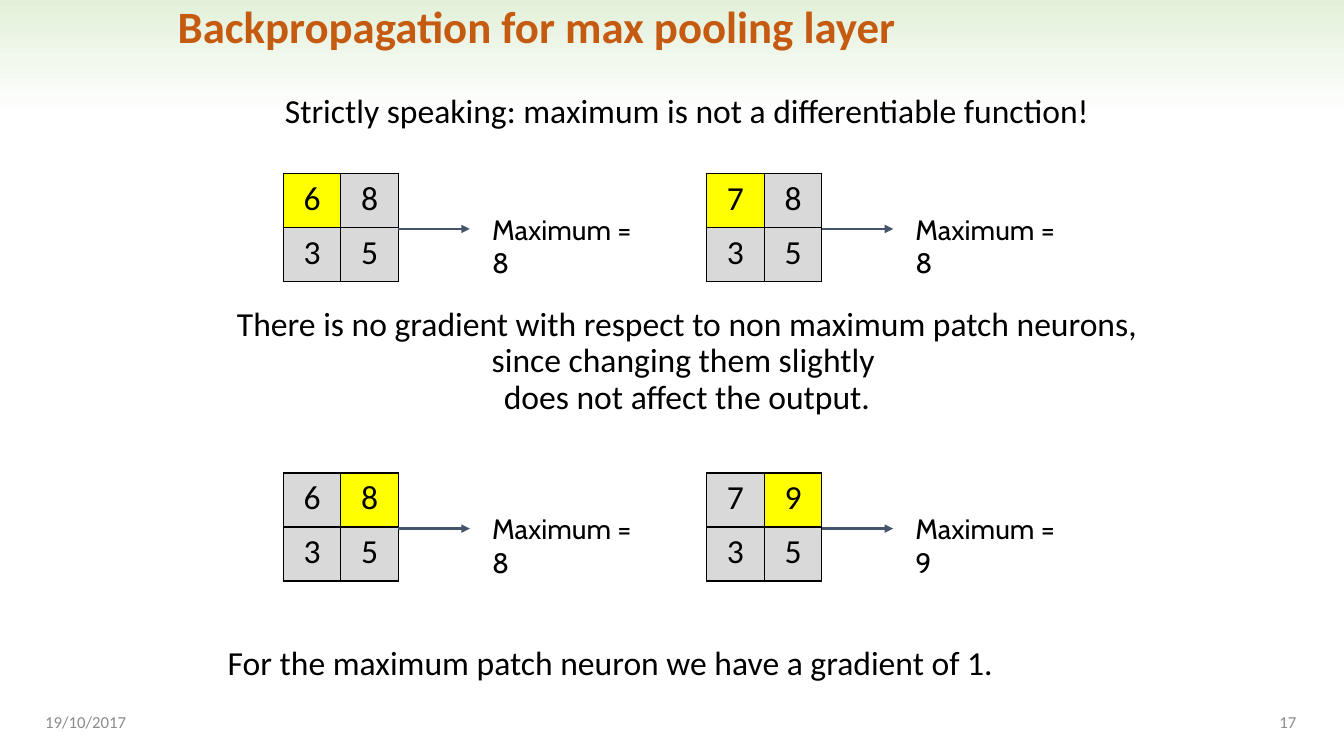
from lxml import etree
from pptx import Presentation
from pptx import util as u
from pptx.dml.color import RGBColor
from pptx.enum import shapes, text
from pptx.oxml import ns

COLOURS = {
    "band": "E2F0D9", "white": "FFFFFF", "title": "C55A11", "black": "000000",
    "footer": "8C8C8C", "arrow": "44546A", "marked": "FFFF00", "cell": "D9D9D9",
}
LEFT, CENTER, RIGHT = text.PP_ALIGN.LEFT, text.PP_ALIGN.CENTER, text.PP_ALIGN.RIGHT


def rgb(name):
    return RGBColor.from_string(COLOURS[name])


class SlideBuilder:
    """Holds the text style and the current slide; positions are in cm."""

    def __init__(self, slide, font="Calibri"):
        self.slide = slide
        self.font = font

    def style(self, paragraph, size, colour="black", align=LEFT, font=None, bold=False):
        paragraph.alignment = align
        paragraph.font.name = font or self.font
        paragraph.font.size = u.Pt(size)
        paragraph.font.bold = bold
        paragraph.font.color.rgb = rgb(colour)

    def band(self, width, height):
        band = self.slide.shapes.add_shape(
            shapes.MSO_SHAPE.RECTANGLE, 0, 0, u.Cm(width), u.Cm(height))
        band.shadow.inherit = False
        band.line.fill.background()
        band.fill.gradient()
        band.fill.gradient_angle = 270
        for stop, position, colour in zip(
                band.fill.gradient_stops, (0, 1), ("band", "white")):
            stop.position = position
            stop.color.rgb = rgb(colour)

    def frame(self, x, y, width, height, anchor=text.MSO_ANCHOR.TOP):
        frame = self.slide.shapes.add_textbox(
            *map(u.Cm, (x, y, width, height))).text_frame
        frame.word_wrap = True
        frame.vertical_anchor = anchor
        return frame

    def line_of_text(self, words, box, size, anchor=text.MSO_ANCHOR.TOP, **style):
        frame = self.frame(*box, anchor=anchor)
        frame.text = words
        self.style(frame.paragraphs[0], size, **style)
        return frame

    def body(self, box, statements):
        frame = self.frame(*box)
        for number, (words, align, gap) in enumerate(statements):
            statement = frame.add_paragraph() if number else frame.paragraphs[0]
            statement.text = words
            statement.line_spacing = u.Pt(26)
            statement.space_before = u.Pt(gap)
            self.style(statement, 24, align=align)

    def borders(self, cell):
        properties = cell._tc.get_or_add_tcPr()
        for side in ("a:lnL", "a:lnR", "a:lnT", "a:lnB"):
            line = etree.SubElement(properties, ns.qn(side), w=str(u.Pt(1)))
            fill = etree.SubElement(line, ns.qn("a:solidFill"))
            etree.SubElement(fill, ns.qn("a:srgbClr"), val=COLOURS["black"])

    def patch(self, x, y, values, marked):
        table = self.slide.shapes.add_table(
            2, 2, u.Cm(x), u.Cm(y), u.Cm(2.9), u.Cm(2.72)).table
        table.first_row = table.horz_banding = False
        for index, (cell, value) in enumerate(zip(table.iter_cells(), values)):
            cell.text = str(value)
            self.style(cell.text_frame.paragraphs[0], 24, align=CENTER)
            self.borders(cell)
            cell.fill.solid()
            cell.fill.fore_color.rgb = rgb("marked" if index == marked else "cell")

    def arrow(self, x, y, length):
        arrow = self.slide.shapes.add_connector(
            shapes.MSO_CONNECTOR.STRAIGHT, *map(u.Cm, (x, y, x + length, y)))
        arrow.line.color.rgb = rgb("arrow")
        arrow.line.width = u.Pt(2)
        etree.SubElement(arrow.line._get_or_add_ln(), ns.qn("a:tailEnd"), type="triangle")
        etree.SubElement(arrow._element.spPr, ns.qn("a:effectLst"))

    def pooling(self, x, y, values, marked):
        self.patch(x, y, values, marked)
        self.arrow(x + 2.9, y + 1.4, 1.8)
        result = self.line_of_text(
            f"Maximum = {max(values)}", (x + 5.13, y + 0.85, 4.34, 1.12), 20, font="Cabin")
        result.margin_left = result.margin_top = result.margin_bottom = u.Cm(0.13)
        result.margin_right = u.Cm(0.5)


def main():
    presentation = Presentation()
    presentation.slide_width, presentation.slide_height = u.Cm(33.87), u.Cm(19.05)
    builder = SlideBuilder(presentation.slides.add_slide(presentation.slide_layouts[6]))

    # Header
    builder.band(33.87, 2.9)
    title = builder.line_of_text(
        "Backpropagation for max pooling layer", (4.23, 0, 25.4, 1.73), 32,
        colour="title", bold=True)
    title.paragraphs[0].line_spacing = 0.9

    # Statements, spaced to leave room for the patches
    builder.body((5.49, 2.24, 23.65, 15.49), [
        ("Strictly speaking: maximum is not a differentiable function!", CENTER, 0),
        ("There is no gradient with respect to non maximum patch neurons, "
         "since changing them slightly \vdoes not affect the output.", CENTER, 126),
        ("For the maximum patch neuron we have a gradient of 1.", LEFT, 164),
    ])

    # Patches before and after a change; the marked neuron is the one that changes
    for y, marked, patches in (
            (4.37, 0, [(6, 8, 3, 5), (7, 8, 3, 5)]),
            (11.92, 1, [(6, 8, 3, 5), (7, 9, 3, 5)])):
        for column, values in enumerate(patches):
            builder.pooling(7.14 + column * 10.67, y, values, marked)

    # Footer
    for words, x, align in (("19/10/2017", 0.89, LEFT), ("17", 25.3, RIGHT)):
        builder.line_of_text(words, (x, 17.67, 7.62, 1.02), 12, colour="footer",
                             align=align, anchor=text.MSO_ANCHOR.MIDDLE)

    presentation.save("out.pptx")


if __name__ == "__main__":
    main()
